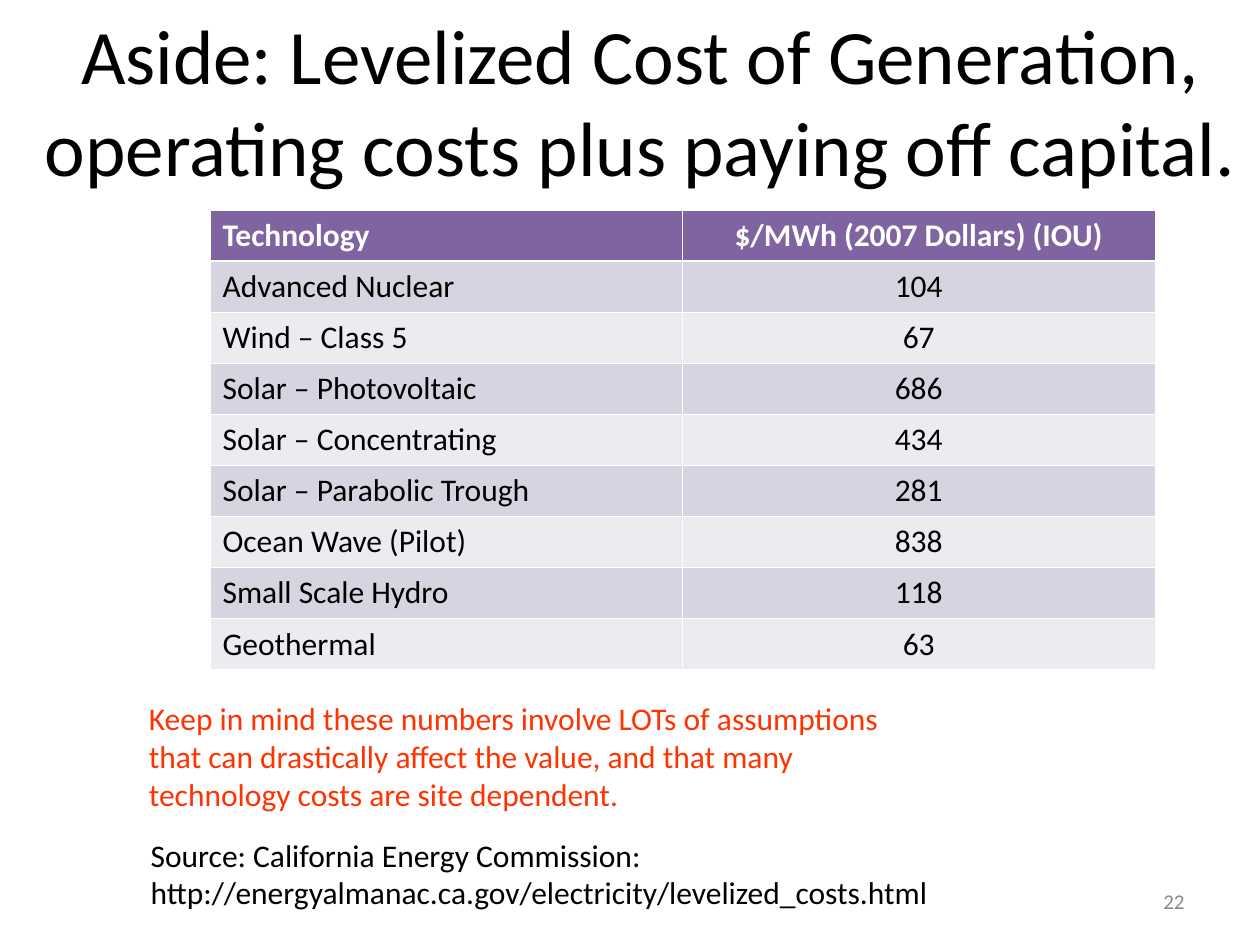
from pptx import Presentation
from pptx.dml.color import RGBColor
from pptx.enum.text import MSO_ANCHOR, MSO_AUTO_SIZE, PP_ALIGN
from pptx.oxml.ns import qn
from pptx.util import Pt
from lxml import etree

LEFT, CENTER, RIGHT = PP_ALIGN.LEFT, PP_ALIGN.CENTER, PP_ALIGN.RIGHT
TOP, MIDDLE = MSO_ANCHOR.TOP, MSO_ANCHOR.MIDDLE
TITLE_ONLY = 5

# Content ("\v" marks a line break inside a paragraph)
TITLE = "Aside: Levelized Cost of Generation,\voperating costs plus paying off capital."
HEADER = ("Technology", "$/MWh (2007 Dollars) (IOU)")
COSTS = [
    ("Advanced Nuclear", 104),
    ("Wind – Class 5", 67),
    ("Solar – Photovoltaic", 686),
    ("Solar – Concentrating", 434),
    ("Solar – Parabolic Trough", 281),
    ("Ocean Wave (Pilot)", 838),
    ("Small Scale Hydro", 118),
    ("Geothermal", 63),
]
CAVEAT = [
    "Keep in mind these numbers involve LOTs of assumptions\v"
    "that can drastically affect the value, and that many",
    "technology costs are site dependent.",
]
SOURCE = ["Source: California Energy Commission:\v"
          "http://energyalmanac.ca.gov/electricity/levelized_costs.html"]
PAGE = ["22"]

THEME = {
    "font": "Calibri",
    "title": 44, "body": 18, "page": 12,
    "black": "000000", "white": "FFFFFF", "red": "FF3300", "grey": "898989",
    "header": "8064A2", "bands": ("D8D3E0", "EDEAF0"),
    "thin": 0.45, "thick": 1.47,
}

# Layout: left, top, width, height
TITLE_BOX = (12, 24, 708, 66)
TABLE_BOX = (120, 120, 540, 262.8)
CAVEAT_BOX = (78, 396, 583, 72)
SOURCE_BOX = (79, 474, 461, 50.4)
PAGE_BOX = (516, 500.4, 168, 28.8)


def rgb(name):
    return RGBColor.from_string(THEME[name])


def format_paragraph(p, text, size, color, align=LEFT, bold=False):
    p.text = text
    p.alignment = align
    values = {"name": THEME["font"], "size": Pt(THEME[size]), "bold": bold}
    for r in p.runs:
        for key, value in values.items():
            setattr(r.font, key, value)
        r.font.color.rgb = rgb(color)


def add_text(s, box, paragraphs, size, color, align=LEFT, anchor=TOP, wrap=True):
    tf = s.shapes.add_textbox(*map(Pt, box)).text_frame
    tf.word_wrap = wrap
    tf.vertical_anchor = anchor
    for i, text in enumerate(paragraphs):
        p = tf.add_paragraph() if i else tf.paragraphs[0]
        format_paragraph(p, text, size, color, align)


def set_borders(cell, widths):
    tc_pr = cell._tc.get_or_add_tcPr()
    for side, width in widths.items():
        ln = etree.SubElement(tc_pr, qn(f"a:ln{side}"), w=str(int(Pt(width))))
        fill = etree.SubElement(ln, qn("a:solidFill"))
        etree.SubElement(fill, qn("a:srgbClr"), val=THEME["white"])


def add_cost_table(s):
    rows = [HEADER, *COSTS]
    table = s.shapes.add_table(len(rows), len(HEADER), *map(Pt, TABLE_BOX)).table
    for row in table.rows:
        row.height = Pt(TABLE_BOX[3] / len(rows))
    for i, row in enumerate(rows):
        is_header = i == 0
        fill = THEME["header"] if is_header else THEME["bands"][(i - 1) % 2]
        widths = dict.fromkeys("LRTB", THEME["thin"])
        if i < 2:  # heavier rule between header and body
            widths["B" if is_header else "T"] = THEME["thick"]
        for j, value in enumerate(row):
            cell = table.cell(i, j)
            set_borders(cell, widths)
            cell.fill.solid()
            cell.fill.fore_color.rgb = RGBColor.from_string(fill)
            format_paragraph(cell.text_frame.paragraphs[0], str(value), "body",
                             "white" if is_header else "black",
                             CENTER if j else LEFT, is_header)


def main():
    prs = Presentation()
    prs.slide_width, prs.slide_height = Pt(720), Pt(540)
    s = prs.slides.add_slide(prs.slide_layouts[TITLE_ONLY])

    # Title
    title = s.shapes.title
    title.left, title.top, title.width, title.height = map(Pt, TITLE_BOX)
    tf = title.text_frame
    tf.auto_size = MSO_AUTO_SIZE.NONE
    tf.vertical_anchor = MIDDLE
    format_paragraph(tf.paragraphs[0], TITLE, "title", "black", CENTER)

    # Table and notes beneath it
    add_text(s, SOURCE_BOX, SOURCE, "body", "black", wrap=False)
    add_cost_table(s)
    add_text(s, CAVEAT_BOX, CAVEAT, "body", "red")

    # Page number
    add_text(s, PAGE_BOX, PAGE, "page", "grey", RIGHT, MIDDLE)

    prs.save("out.pptx")


if __name__ == "__main__":
    main()
